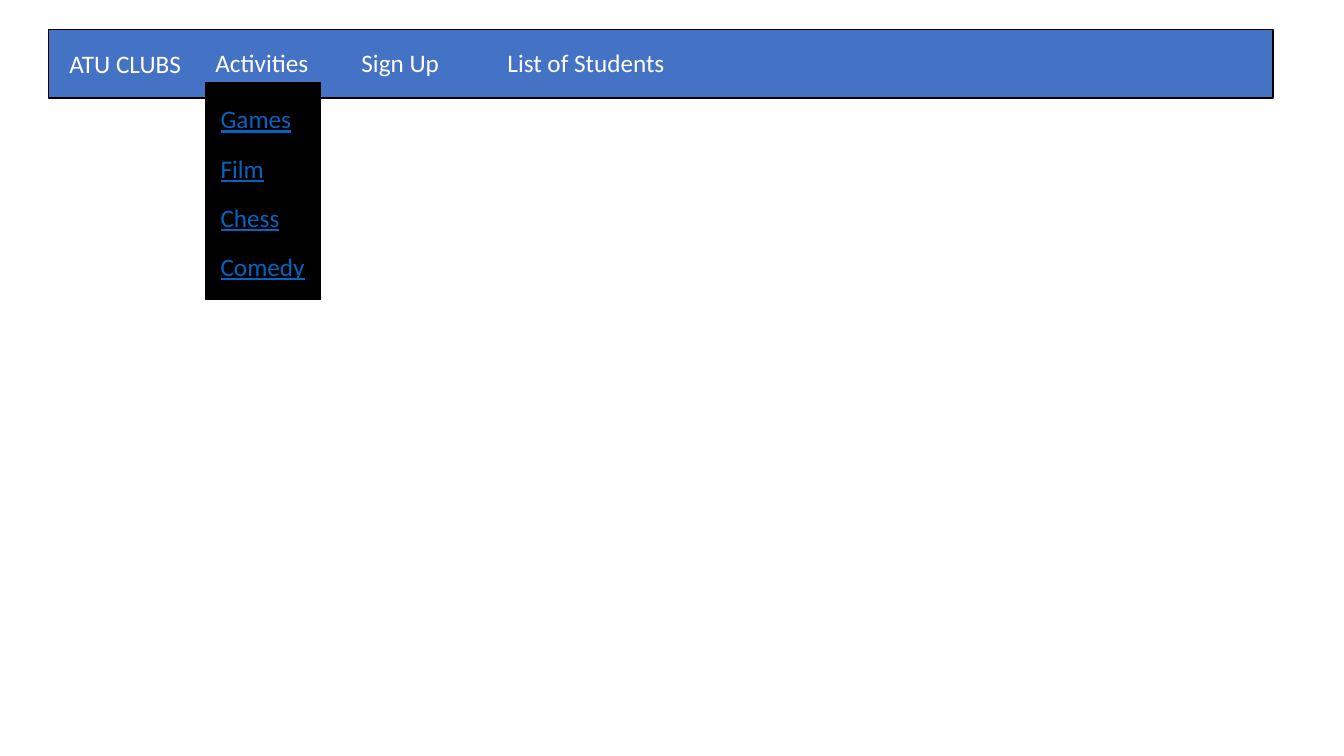
import pptx
import pptx.dml.color
import pptx.enum.shapes
import pptx.enum.text
import pptx.util
from pptx.util import Cm

LABEL_HEIGHT = 1.02


def colour(hex_value):
    return pptx.dml.color.RGBColor.from_string(hex_value)


def add_panel(shapes, left, top, width, height, fill):
    panel = shapes.add_shape(
        pptx.enum.shapes.MSO_SHAPE.RECTANGLE, Cm(left), Cm(top), Cm(width), Cm(height)
    )
    panel.shadow.inherit = False
    panel.fill.solid()
    panel.fill.fore_color.rgb = colour(fill)
    panel.line.color.rgb = colour("000000")
    panel.line.width = pptx.util.Pt(1)


def add_label(shapes, left, top, width, wording, ink, underline=False):
    label = shapes.add_textbox(Cm(left), Cm(top), Cm(width), Cm(LABEL_HEIGHT))
    frame = label.text_frame
    frame.word_wrap = True
    frame.auto_size = pptx.enum.text.MSO_AUTO_SIZE.SHAPE_TO_FIT_TEXT
    frame.text = wording
    font = frame.paragraphs[0].runs[0].font
    font.name = "Calibri"
    font.size = pptx.util.Pt(18)
    font.color.rgb = colour(ink)
    if underline:
        font.underline = True


def add_navigation_bar(slide, left, top, width, height):
    add_panel(slide.shapes, left, top, width, height, "4472C4")
    entries = [
        ("ATU CLUBS", 0.36, 3.68),
        ("Activities", 0.33, 3.68),
        ("Sign Up", 0.33, 3.68),
        ("List of Students", 0.33, 4.8),
    ]
    entry_left = left + 0.28
    for wording, drop, entry_width in entries:
        add_label(slide.shapes, entry_left, top + drop, entry_width, wording, "FFFFFF")
        entry_left += entry_width


def add_activities_menu(slide, left, top, width, height):
    menu = slide.shapes.add_group_shape()
    add_panel(menu.shapes, left, top, width, height, "000000")
    clubs = [("Games", 2.62), ("Film", 2.62), ("Chess", 2.62), ("Comedy", 2.9)]
    for row, (club, club_width) in enumerate(clubs):
        add_label(
            menu.shapes, left + 0.13, top + 0.41 + row * 1.24, club_width,
            club, "0563C1", underline=True,
        )


def main():
    presentation = pptx.Presentation()
    presentation.slide_width = Cm(33.87)
    presentation.slide_height = Cm(19.05)
    slide = presentation.slides.add_slide(presentation.slide_layouts[6])
    add_navigation_bar(slide, 1.22, 0.74, 30.86, 1.73)
    add_activities_menu(slide, 5.18, 2.08, 2.9, 5.46)
    presentation.save("out.pptx")


if __name__ == "__main__":
    main()
